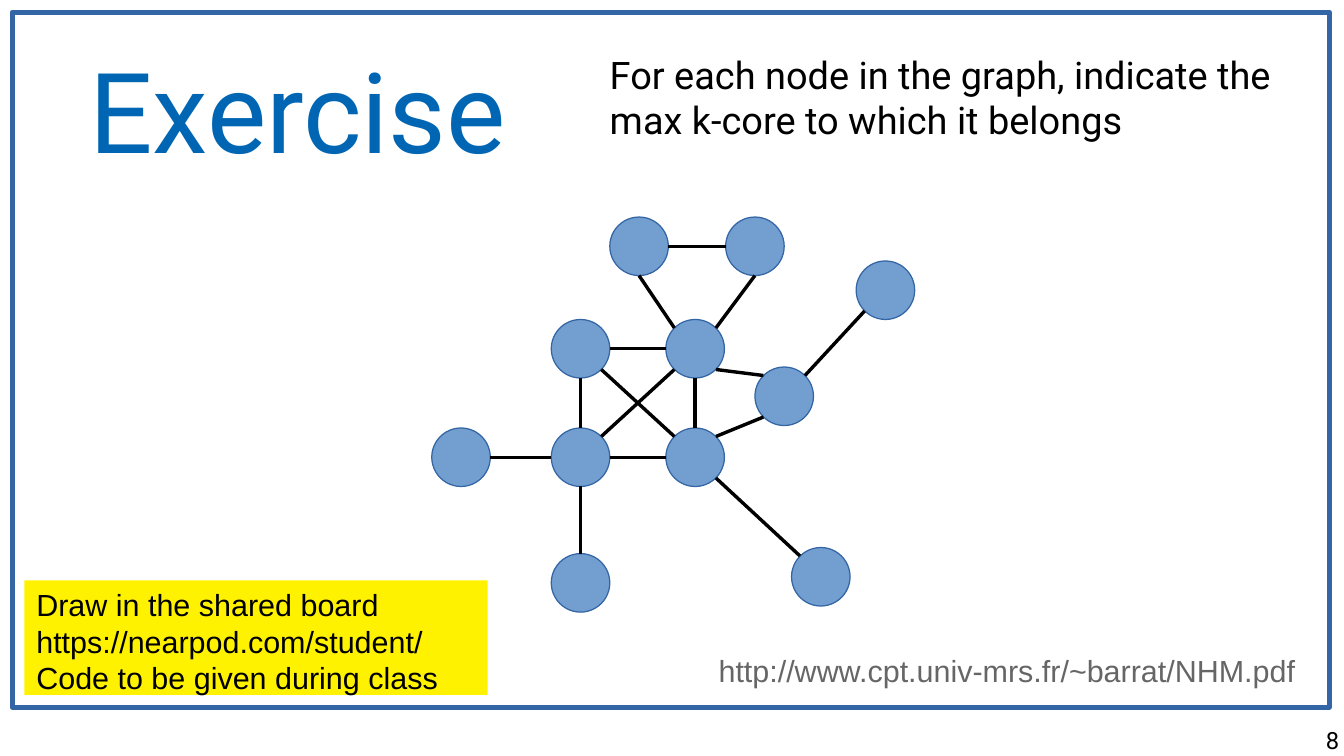
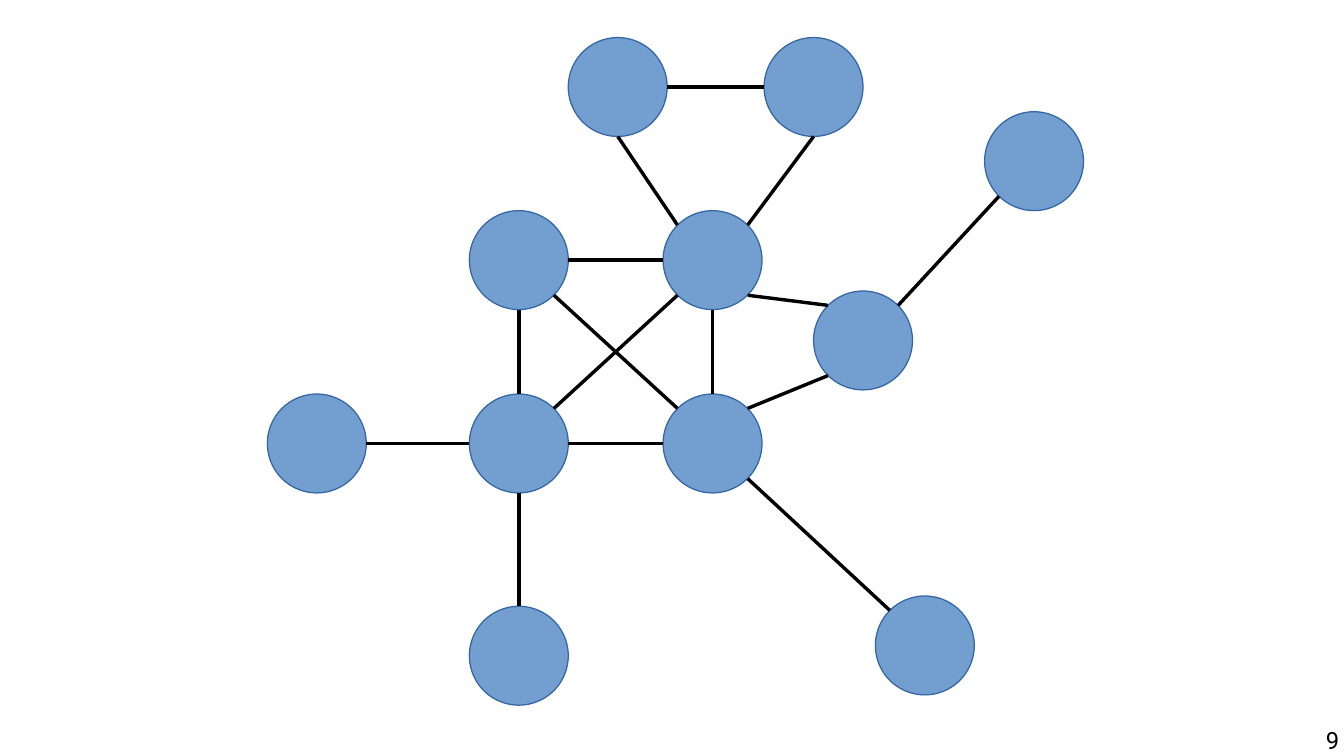
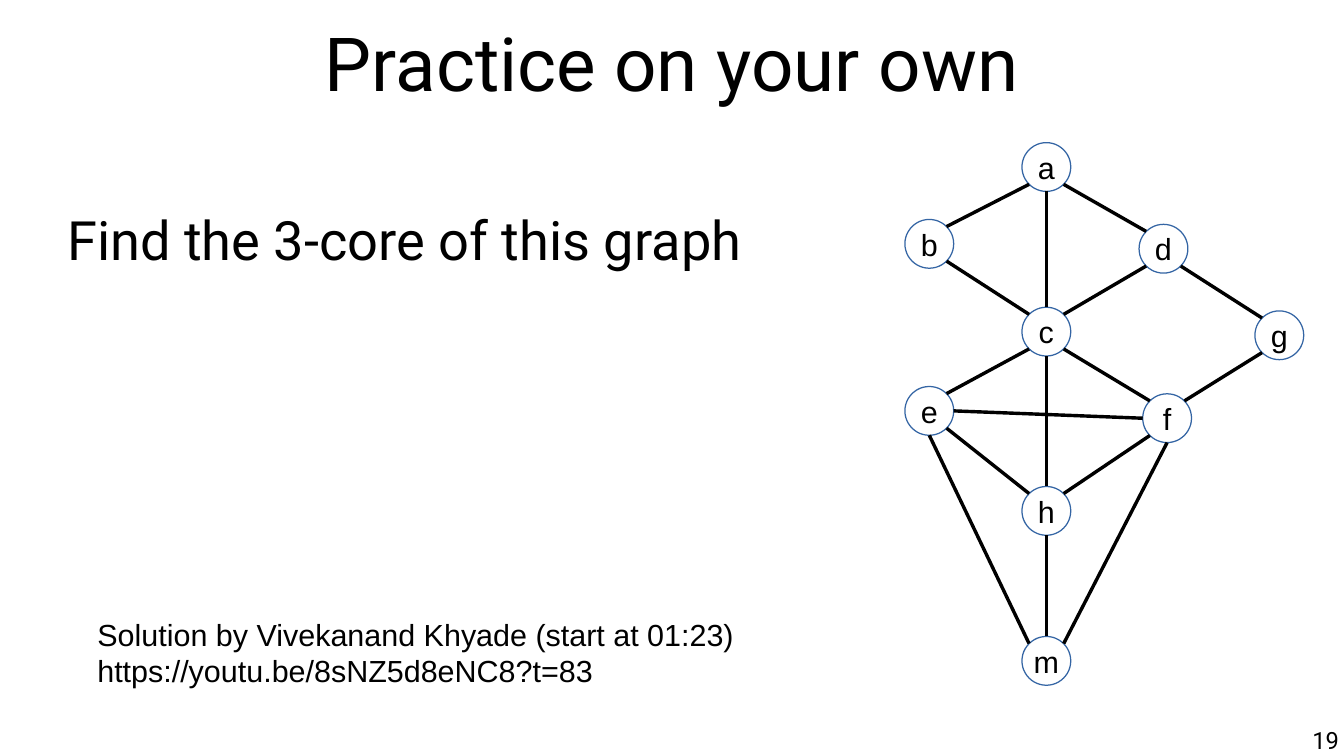
from lxml import etree
from pptx import Presentation
from pptx.dml.color import RGBColor
from pptx.enum import shapes, text
from pptx.oxml import ns
from pptx.util import Inches, Pt

COLORS = {
    "title": "0066B3",
    "ink": "000000",
    "muted": "666666",
    "node": "729FCF",
    "outline": "3465A4",
    "note": "FFF200",
}
HEADING_FONT = "Roboto"
BODY_FONT = "Arial"
LEFT, CENTER, RIGHT = text.PP_ALIGN.LEFT, text.PP_ALIGN.CENTER, text.PP_ALIGN.RIGHT
TOP, MIDDLE = text.MSO_ANCHOR.TOP, text.MSO_ANCHOR.MIDDLE
DIAGONAL = 0.71
SITES = {
    "N": (0, -1), "S": (0, 1), "W": (-1, 0), "E": (1, 0),
    "NW": (-DIAGONAL, -DIAGONAL), "NE": (DIAGONAL, -DIAGONAL),
    "SW": (-DIAGONAL, DIAGONAL), "SE": (DIAGONAL, DIAGONAL),
}


def write(box, lines, size, font=BODY_FONT, color="ink", align=LEFT,
          anchor=TOP, inset=(0.1, 0.05), wrap=True):
    frame = box.text_frame
    frame.word_wrap = wrap
    frame.vertical_anchor = anchor
    frame.margin_left = frame.margin_right = Inches(inset[0])
    frame.margin_top = frame.margin_bottom = Inches(inset[1])
    for index, line in enumerate(lines):
        para = frame.paragraphs[0] if index == 0 else frame.add_paragraph()
        para.alignment = align
        span = para.add_run()
        span.text = line
        span.font.name = font
        span.font.size = Pt(size)
        span.font.color.rgb = RGBColor.from_string(COLORS[color])


def draw_graph(page, nodes, edges, size, fill=None, labels=False):
    for name, (left, top) in nodes.items():
        circle = page.shapes.add_shape(
            shapes.MSO_SHAPE.OVAL, Inches(left), Inches(top), Inches(size), Inches(size))
        circle.shadow.inherit = False
        circle.line.color.rgb = RGBColor.from_string(COLORS["outline"])
        circle.line.width = Pt(0)
        if fill:
            circle.fill.solid()
            circle.fill.fore_color.rgb = RGBColor.from_string(COLORS[fill])
        else:
            circle.fill.background()
        if labels:
            write(circle, [name], 18, align=CENTER, anchor=MIDDLE, wrap=False)
    radius = size / 2
    for edge in edges:
        start, start_site, end, end_site = edge.split()
        ends = []
        for name, site in ((start, start_site), (end, end_site)):
            for corner, step in zip(nodes[name], SITES[site]):
                ends.append(Inches(corner + radius + step * radius))
        link = page.shapes.add_connector(shapes.MSO_CONNECTOR.STRAIGHT, *ends)
        link.line.color.rgb = RGBColor.from_string(COLORS["ink"])
        link.line.width = Pt(0)
        etree.SubElement(link._element.spPr, ns.qn("a:effectLst"))


deck = Presentation()
deck.slide_width = Inches(11.02)
deck.slide_height = Inches(6.2)

pages = []
for number in ("8", "9", "19"):
    page = deck.slides.add_slide(deck.slide_layouts[6])
    box = page.shapes.add_textbox(Inches(8.41), Inches(5.95), Inches(2.57), Inches(0.25))
    write(box, [number], 14, HEADING_FONT, align=RIGHT, inset=(0, 0))
    pages.append(page)
exercise, enlarged, practice = pages

headings = [
    (exercise, (0.23, 0.2, 4.42, 1.38), "Exercise", 66, "title", CENTER, MIDDLE),
    (exercise, (5, 0.42, 5.6, 1.08),
     "For each node in the graph, indicate the max k-core to which it belongs",
     22.4, "ink", LEFT, TOP),
    (practice, (0.55, 0.01, 9.92, 0.99), "Practice on your own", 44, "ink", CENTER, MIDDLE),
    (practice, (0.55, 1.69, 6.25, 3.6), "Find the 3-core of this graph", 32, "ink", LEFT, TOP),
]
for page, place, words, size, color, align, anchor in headings:
    box = page.shapes.add_textbox(*[Inches(length) for length in place])
    write(box, [words], size, HEADING_FONT, color, align, anchor, inset=(0, 0))

core_nodes = {
    "upper_left": (4.52, 2.62), "upper_right": (5.46, 2.62),
    "lower_left": (4.52, 3.51), "lower_right": (5.46, 3.51),
    "bottom": (4.52, 4.54), "west": (3.54, 3.51),
    "southeast": (6.49, 4.49), "east": (6.19, 3.01),
    "roof_left": (5, 1.78), "roof_right": (5.95, 1.78),
    "northeast": (7.02, 2.14),
}
core_edges = [
    "lower_right SE southeast NW",
    "lower_left S bottom N",
    "upper_left SE lower_right NW",
    "upper_right SW lower_left NE",
    "upper_left E upper_right W",
    "lower_left E lower_right W",
    "upper_right S lower_right N",
    "upper_left S lower_left N",
    "lower_left W west E",
    "lower_right NE east SW",
    "upper_right SE east NW",
    "upper_right NW roof_left S",
    "upper_right NE roof_right S",
    "east NE northeast SW",
    "roof_left E roof_right W",
]
for page, scale, shift_x, shift_y in ((exercise, 1, 0, 0), (enlarged, 1.69, -3.79, -2.7)):
    nodes = {name: (left * scale + shift_x, top * scale + shift_y)
             for name, (left, top) in core_nodes.items()}
    draw_graph(page, nodes, core_edges, 0.48 * scale, fill="node")

source = exercise.shapes.add_textbox(Inches(5.47), Inches(5.3), Inches(5.25), Inches(0.38))
write(source, ["http://www.cpt.univ-mrs.fr/~barrat/NHM.pdf"], 18, color="muted", align=RIGHT)

border = exercise.shapes.add_shape(
    shapes.MSO_SHAPE.RECTANGLE, Inches(0.1), Inches(0.1), Inches(10.8), Inches(5.7))
border.shadow.inherit = False
border.fill.background()
border.line.color.rgb = RGBColor.from_string(COLORS["outline"])
border.line.width = Pt(2.89)

note = exercise.shapes.add_shape(
    shapes.MSO_SHAPE.RECTANGLE, Inches(0.2), Inches(4.76), Inches(3.8), Inches(0.94))
note.shadow.inherit = False
note.fill.solid()
note.fill.fore_color.rgb = RGBColor.from_string(COLORS["note"])
note.line.fill.background()
write(note, ["Draw in the shared board", "https://nearpod.com/student/",
             "Code to be given during class"], 18)

practice_nodes = {
    "a": (8.38, 1.17), "b": (7.42, 1.8), "c": (8.38, 2.52),
    "f": (9.37, 3.23), "d": (9.34, 1.84), "g": (10.29, 2.55),
    "e": (7.42, 3.17), "h": (8.38, 3.99), "m": (8.38, 5.22),
}
practice_edges = [
    "b NE a SW", "a SE d NW", "a S c N", "b SE c NW", "c NE d SW",
    "e NE c SW", "e SE h NW", "e S m NW", "f SW h NE", "f S m NE",
    "c S h N", "c SE f NW", "f NE g SW", "g NW d SE", "f W e E", "m N h S",
]
draw_graph(practice, practice_nodes, practice_edges, 0.4, labels=True)

solution = practice.shapes.add_textbox(Inches(0.7), Inches(5), Inches(6.3), Inches(0.98))
write(solution, ["Solution by Vivekanand Khyade (start at 01:23)",
                 "https://youtu.be/8sNZ5d8eNC8?t=83"], 18)

deck.save("out.pptx")
